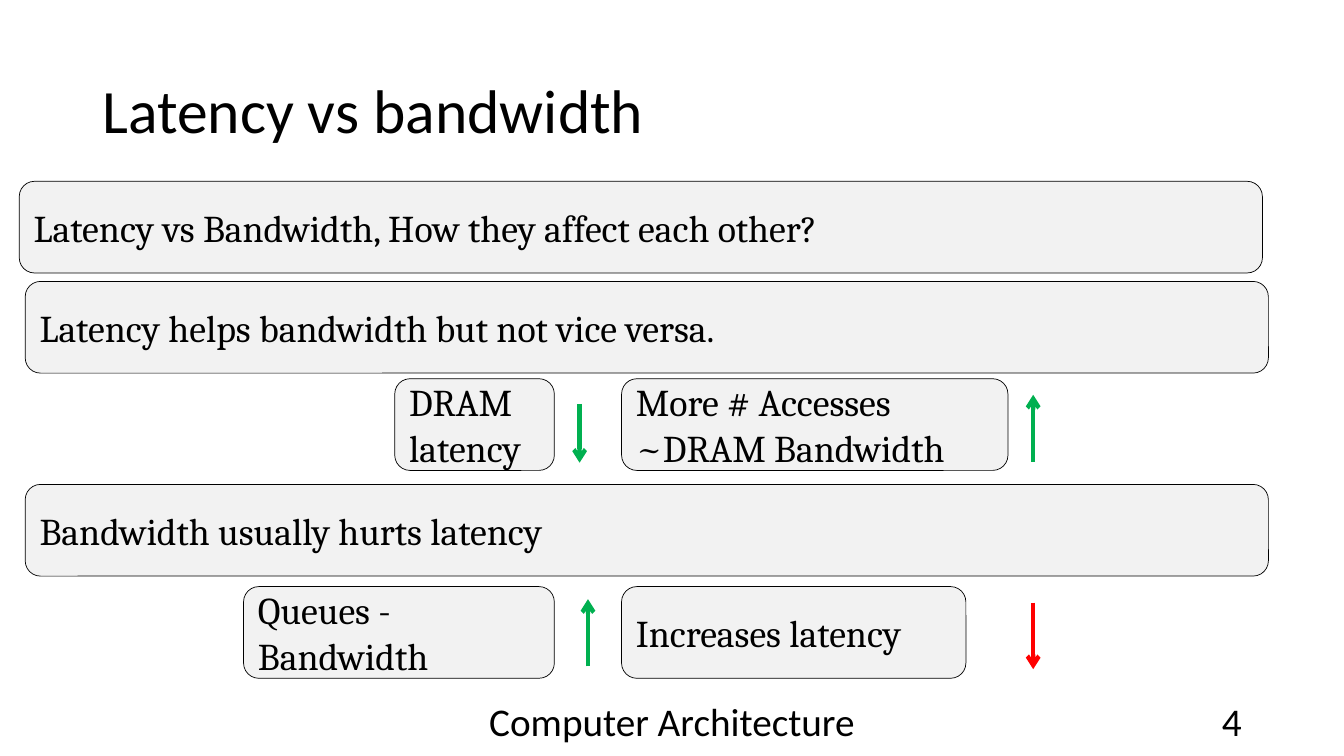
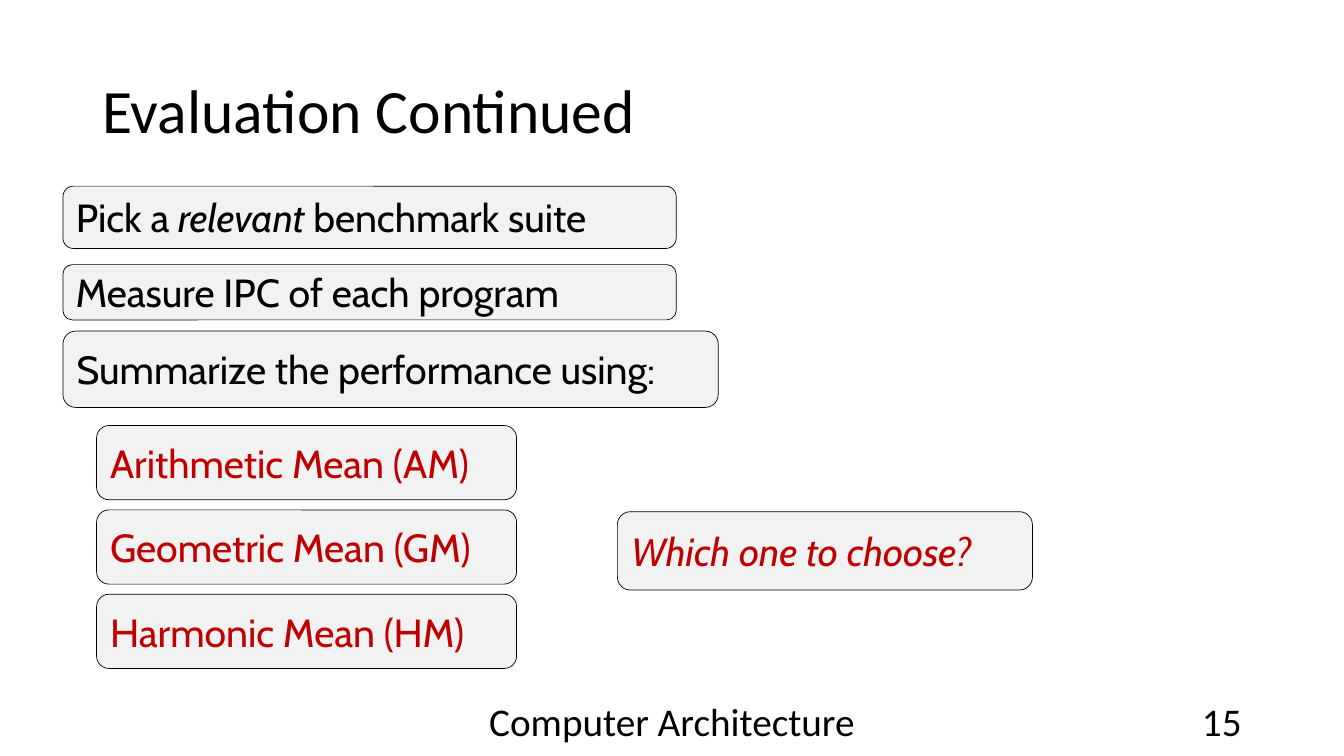
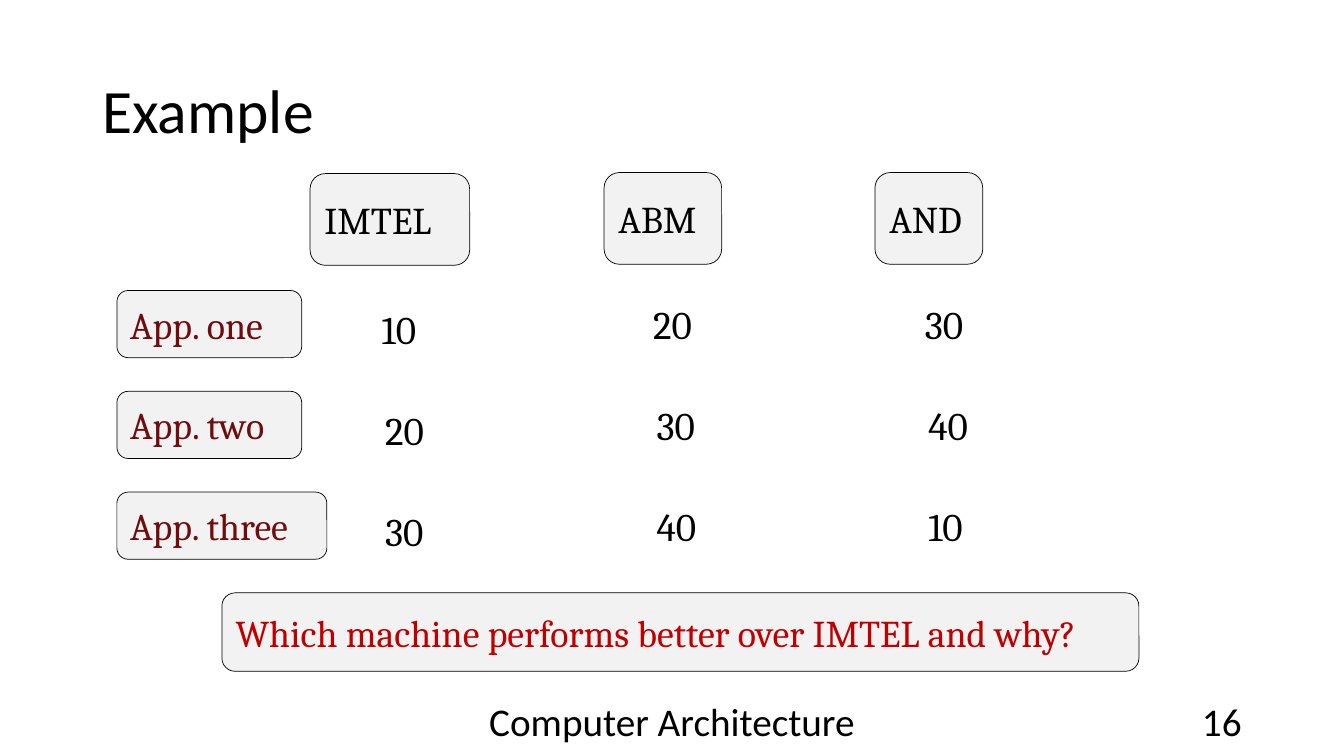
from dataclasses import dataclass

from lxml.etree import SubElement
from pptx import Presentation
from pptx.dml.color import RGBColor
from pptx.enum.shapes import MSO_CONNECTOR, MSO_SHAPE
from pptx.enum.text import MSO_ANCHOR, MSO_AUTO_SIZE, PP_ALIGN
from pptx.oxml.ns import qn
from pptx.util import Pt


@dataclass(frozen=True)
class Theme:
    black: str = "000000"
    grey: str = "F2F2F2"
    green: str = "00B050"
    red: str = "FF0000"
    dark: str = "C00000"
    wine: str = "700C0D"
    sans: str = "Calibri"
    serif: str = "Cambria"
    round: str = "Cabin"
    head: float = 44
    large: float = 28
    body: float = 27
    edge: float = 0.5
    stroke: float = 3


THEME = Theme()


def rgb(code):
    return RGBColor.from_string(code)


def write(frame, parts, face, size, color=THEME.black, align=PP_ALIGN.LEFT):
    para = frame.paragraphs[0]
    para.alignment = align
    font = para.font
    font.name, font.size = face, Pt(size)
    font.color.rgb = rgb(color)
    for words, slant in parts:
        run = para.add_run()
        run.text = words
        if slant:
            run.font.italic = True
    return para


def label(slide, text, spot, size, align=PP_ALIGN.LEFT):
    frame = slide.shapes.add_textbox(*map(Pt, spot)).text_frame
    frame.word_wrap = True
    frame.vertical_anchor = MSO_ANCHOR.MIDDLE
    return write(frame, [(text, False)], THEME.sans, size, align=align)


def value(slide, text, left, top):
    frame = slide.shapes.add_textbox(Pt(left), Pt(top), Pt(46), Pt(41)).text_frame
    frame.word_wrap = False
    frame.auto_size = MSO_AUTO_SIZE.SHAPE_TO_FIT_TEXT
    write(frame, [(text, False)], THEME.serif, THEME.large)


def card(slide, parts, spot, face=THEME.serif, size=THEME.body, color=THEME.black):
    if isinstance(parts, str):
        parts = [(parts, False)]
    shape = slide.shapes.add_shape(MSO_SHAPE.ROUNDED_RECTANGLE, *map(Pt, spot))
    shape.shadow.inherit = False
    shape.fill.solid()
    shape.fill.fore_color.rgb = rgb(THEME.grey)
    shape.line.color.rgb = rgb(THEME.black)
    shape.line.width = Pt(THEME.edge)
    frame = shape.text_frame
    frame.word_wrap = True
    frame.vertical_anchor = MSO_ANCHOR.MIDDLE
    write(frame, parts, face, size, color)


def arrow(slide, left, start, end, color):
    link = slide.shapes.add_connector(
        MSO_CONNECTOR.STRAIGHT, Pt(left), Pt(start), Pt(left), Pt(end))
    link.line.color.rgb = rgb(color)
    link.line.width = Pt(THEME.stroke)
    props = link._element.spPr
    SubElement(props.find(qn("a:ln")), qn("a:tailEnd"), type="arrow")
    SubElement(props, qn("a:effectLst"))


def start(deck, title, number):
    slide = deck.slides.add_slide(deck.slide_layouts[6])
    label(slide, title, (66, 28.75, 828, 104.4), THEME.head).line_spacing = 0.9
    label(slide, "Computer Architecture", (318, 500.5, 324, 28.75),
          THEME.large, PP_ALIGN.CENTER)
    label(slide, str(number), (678, 500.5, 216, 28.75), THEME.large, PP_ALIGN.RIGHT)
    return slide


def compare(deck):
    slide = start(deck, "Latency vs bandwidth", 4)
    for text, left, top, width in (
        ("Latency vs Bandwidth, How they affect each other?", 13.75, 129.5, 888),
        ("Latency helps bandwidth but not vice versa.", 18, 201, 888),
        ("DRAM latency", 282, 270.5, 114),
        ("More # Accesses ~DRAM Bandwidth", 444, 270.5, 276),
        ("Bandwidth usually hurts latency", 18, 346, 888),
        ("Queues - Bandwidth", 174, 419, 222),
        ("Increases latency", 444, 419, 246),
    ):
        card(slide, text, (left, top, width, 65.5))
    arrow(slide, 414, 288.5, 330.5, THEME.green)
    arrow(slide, 738, 330, 282, THEME.green)
    arrow(slide, 420, 476, 428, THEME.green)
    arrow(slide, 738, 430.5, 478, THEME.red)


def review(deck):
    slide = start(deck, "Evaluation Continued", 15)
    suite = [("Pick a ", False), ("relevant", True), (" benchmark suite", False)]
    for parts, top, width, height in (
        (suite, 133, 438, 44.5),
        ("Measure IPC of each program", 189, 438, 39.5),
        ("Summarize the performance using:", 236.5, 468, 54.5),
    ):
        card(slide, parts, (45, top, width, height), THEME.round, THEME.large)
    for row, mean in enumerate(
            ("Arithmetic Mean (AM)", "Geometric Mean (GM)", "Harmonic Mean (HM)")):
        card(slide, mean, (69, 304 + 60.25 * row, 300, 53),
             THEME.round, THEME.large, THEME.dark)
    card(slide, [("Which one to choose?", True)], (441, 365.5, 296.5, 56),
         THEME.round, THEME.large, THEME.dark)


def example(deck):
    slide = start(deck, "Example", 16)
    for name, left, top, width in (
        ("IMTEL", 221.5, 124, 114),
        ("ABM", 431.5, 123.25, 84),
        ("AND", 625, 123.25, 77),
    ):
        card(slide, name, (left, top, width, 65.5))
    for row, (name, width, marks) in enumerate((
        ("App. one", 132, (10, 20, 30)),
        ("App. two", 132, (20, 30, 40)),
        ("App. three", 150, (30, 40, 10)),
    )):
        drop = 72 * row
        card(slide, name, (83.5, 207.5 + drop, width, 48), color=THEME.wine)
        for col, mark in enumerate(marks):
            left = 265.5 + 194 * col + (2.5 if row else 0)
            value(slide, str(mark), left, (211 if col else 214.5) + drop)
    card(slide, "Which machine performs better over IMTEL and why?",
         (158.5, 423.5, 655, 56), color=THEME.dark)


def main():
    deck = Presentation()
    deck.slide_width, deck.slide_height = Pt(960), Pt(540)
    compare(deck)
    review(deck)
    example(deck)
    deck.save("out.pptx")


if __name__ == "__main__":
    main()
